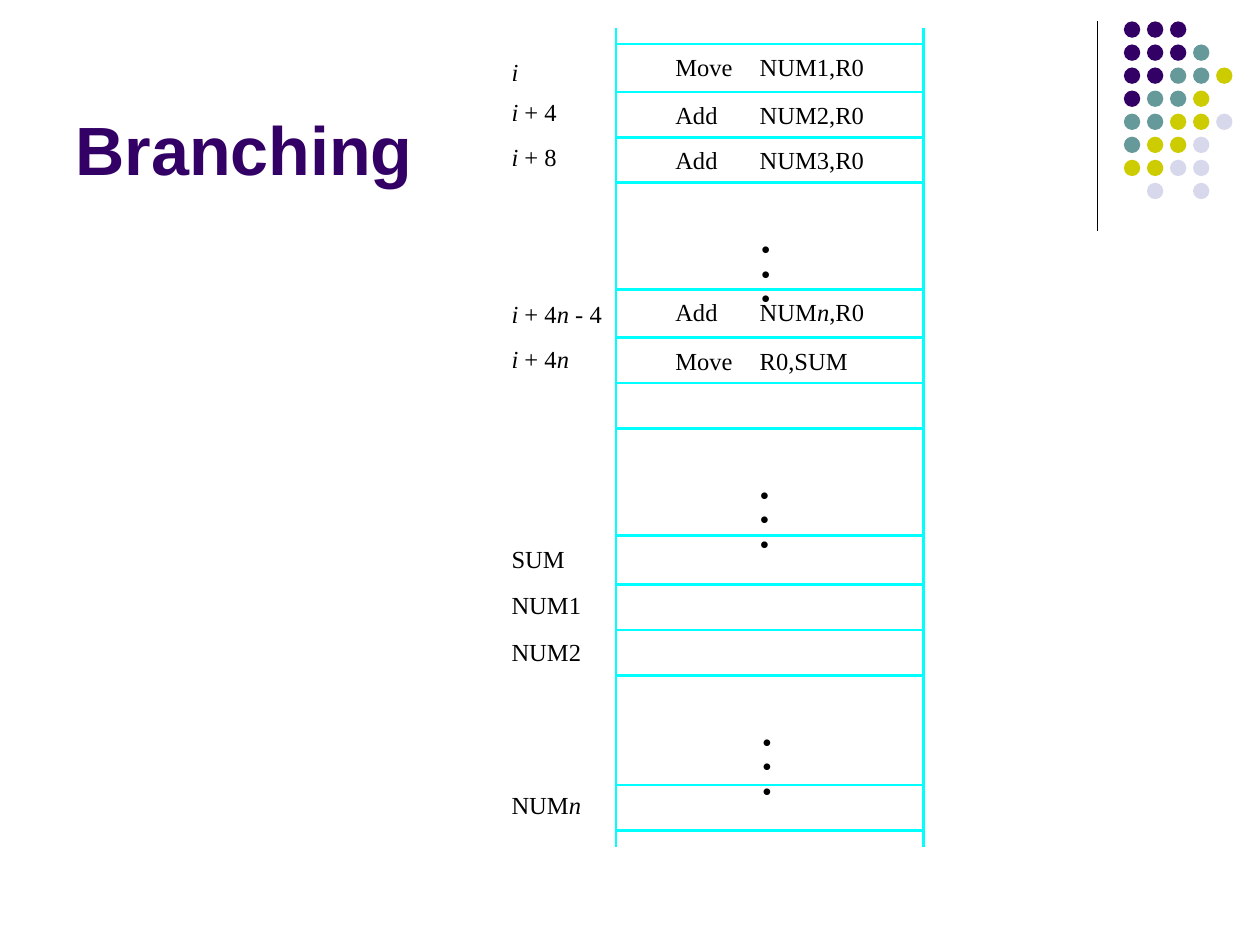
from dataclasses import dataclass

from lxml.etree import SubElement
from pptx import Presentation
from pptx.dml.color import RGBColor
from pptx.enum.shapes import MSO_CONNECTOR, MSO_SHAPE
from pptx.enum.text import MSO_ANCHOR
from pptx.oxml.ns import qn
from pptx.util import Inches, Pt


@dataclass(frozen=True)
class Theme:
    """Colours, fonts and type sizes of the slide."""
    ink: str = "000000"
    purple: str = "330066"
    teal: str = "669999"
    olive: str = "CCCC00"
    lavender: str = "D8D8EC"
    cyan: str = "00FFFF"
    title_font: str = "Arial"
    body_font: str = "Times New Roman"
    title_size: int = 39
    label_size: int = 14
    dot_size: int = 16
    dot_pitch: int = 14


THEME = Theme()
LEFT, RIGHT, TOP, BOTTOM = 4.89, 7.33, 0.22, 6.72
RULES = (0.35, 0.73, 1.09, 1.45, 2.3, 2.68, 3.04, 3.4,
         4.25, 4.64, 5, 5.36, 6.23, 6.59)
ADDRESSES = (
    (0.45, "_i_"), (0.77, "_i_ + 4"), (1.13, "_i_ + 8"),
    (2.37, "_i_ + 4_n_ - 4"), (2.73, "_i_ + 4_n_"),
    (4.32, "SUM"), (4.68, "NUM1"), (5.06, "NUM2"), (6.27, "NUM_n_"),
)
INSTRUCTIONS = (
    (0.41, "Move", "NUM1,R0"), (0.79, "Add", "NUM2,R0"),
    (1.15, "Add", "NUM3,R0"), (2.36, "Add", "NUM_n_,R0"),
    (2.75, "Move", "R0,SUM"),
)
ELLIPSES = ((5.94, 1.49), (5.93, 3.44), (5.95, 5.4))
DOT_ROWS = ("PPP", "PPPT", "PPTTO", "PTTO", "TTOOL", "TOOL", "OOLL", " L L")


def add_text(s, x, y, w, h, margins=(0, 0, 0, 0), wrap=False):
    """Add an empty text box and return its text frame."""
    tf = s.shapes.add_textbox(Inches(x), Inches(y), Inches(w), Inches(h)).text_frame
    tf.word_wrap = wrap
    tf.margin_left, tf.margin_top, tf.margin_right, tf.margin_bottom = map(Inches, margins)
    return tf


def set_font(p, name, size, color, bold=False):
    """Set the font of a whole paragraph."""
    p.font.name, p.font.size, p.font.bold = name, Pt(size), bold
    p.font.color.rgb = RGBColor.from_string(color)


def add_title(s, text):
    """Add the slide title, standing on the bottom of its box."""
    tf = add_text(s, 0.5, 0.13, 8.25, 1.42, (0.1, 0.05, 0.1, 0.05), wrap=True)
    tf.vertical_anchor = MSO_ANCHOR.BOTTOM
    p = tf.paragraphs[0]
    p.text = text
    set_font(p, THEME.title_font, THEME.title_size, THEME.purple, bold=True)


def add_label(s, x, y, text, w):
    """Add a label in which underscores enclose italic variables."""
    p = add_text(s, x, y, w, 0.23).paragraphs[0]
    for i, part in enumerate(text.split("_")):
        if part:
            r = p.add_run()
            r.text = part
            if i % 2:
                r.font.italic = True
    set_font(p, THEME.body_font, THEME.label_size, THEME.ink)


def add_vertical_ellipsis(s, x, y):
    """Add three stacked dots for omitted memory words."""
    tf = add_text(s, x, y, 0.29, 1.2, (0.1, 0.42, 0.1, 0.05), wrap=True)
    for i in range(3):
        p = tf.add_paragraph() if i else tf.paragraphs[0]
        p.text = "•"
        p.line_spacing = Pt(THEME.dot_pitch)
        set_font(p, THEME.body_font, THEME.dot_size, THEME.ink)


def add_line(s, x1, y1, x2, y2, color, width):
    """Add a straight line without a shadow."""
    sp = s.shapes.add_connector(MSO_CONNECTOR.STRAIGHT, Inches(x1), Inches(y1),
                                Inches(x2), Inches(y2))
    sp.line.color.rgb = RGBColor.from_string(color)
    sp.line.width = Pt(width)
    SubElement(sp._element.spPr, qn("a:effectLst"))


def add_dot_grid(s):
    """Add the corner ornament of coloured dots."""
    colors = {"P": THEME.purple, "T": THEME.teal, "O": THEME.olive, "L": THEME.lavender}
    for row, keys in enumerate(DOT_ROWS):
        for col, key in enumerate(keys):
            if key in colors:
                sp = s.shapes.add_shape(
                    MSO_SHAPE.OVAL, Inches(8.92 + 0.183 * col),
                    Inches(0.17 + 0.183 * row), Inches(0.13), Inches(0.13))
                sp.shadow.inherit = False
                sp.fill.solid()
                sp.fill.fore_color.rgb = RGBColor.from_string(colors[key])
                sp.line.fill.background()


def add_memory(s):
    """Add the memory column with its addresses and contents."""
    for x in (LEFT, RIGHT):
        add_line(s, x, TOP, x, BOTTOM, THEME.cyan, 1.5)
    for y in RULES:
        add_line(s, LEFT, y, RIGHT, y, THEME.cyan, 1.5)
    for y, text in ADDRESSES:
        add_label(s, 4.06, y, text, 0.75)
    for y, opcode, operands in INSTRUCTIONS:
        add_label(s, 5.36, y, opcode, 0.46)
        add_label(s, 6.03, y, operands, 0.83)
    for x, y in ELLIPSES:
        add_vertical_ellipsis(s, x, y)


def main():
    """Build and save the slide."""
    prs = Presentation()
    prs.slide_width, prs.slide_height = Inches(10), Inches(7.5)
    s = prs.slides.add_slide(prs.slide_layouts[6])
    add_line(s, 8.71, 0.17, 8.71, 1.83, THEME.ink, 0.75)
    add_dot_grid(s)
    add_title(s, "Branching")
    add_memory(s)
    prs.save("out.pptx")


if __name__ == "__main__":
    main()
